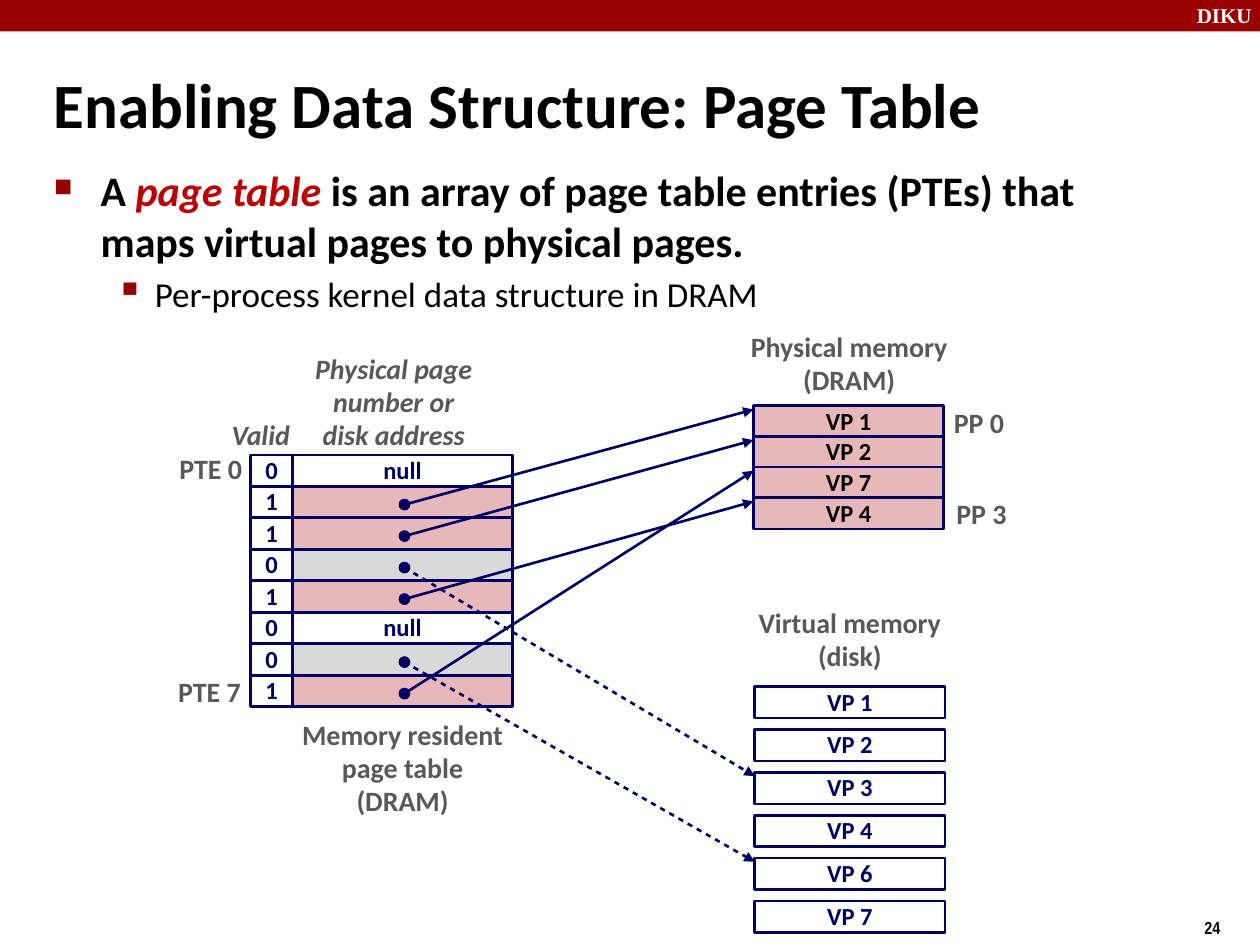
from lxml import etree
from pptx import Presentation
from pptx.dml.color import RGBColor
from pptx.enum.shapes import MSO_CONNECTOR, MSO_SHAPE
from pptx.enum.text import MSO_ANCHOR, PP_ALIGN
from pptx.oxml.ns import qn
from pptx.util import Inches, Pt

RECT, OVAL = MSO_SHAPE.RECTANGLE, MSO_SHAPE.OVAL
STRAIGHT = MSO_CONNECTOR.STRAIGHT
TOP, MIDDLE = MSO_ANCHOR.TOP, MSO_ANCHOR.MIDDLE
LEFT, CENTER, RIGHT = PP_ALIGN.LEFT, PP_ALIGN.CENTER, PP_ALIGN.RIGHT

COLORS = {"bar": "990000", "term": "C00000", "navy": "000066", "gray": "595959",
          "pink": "E6B9B8", "silver": "D9D9D9", "white": "FFFFFF", "black": "000000"}

# Content
TITLE = "Enabling Data Structure: Page Table"
BODY_FMT = {"size": 24, "bold": True, "color": "black"}
BULLETS = [
    {"indent": (0.38, -0.37), "char": "■", "scale": 60, "before": 0, "runs": [
        ("A ", BODY_FMT),
        ("page table ", {**BODY_FMT, "color": "term", "italic": True}),
        ("is an array of page table entries (PTEs) that maps virtual pages "
         "to physical pages.", BODY_FMT)]},
    {"indent": (0.81, -0.31), "char": "▪", "scale": 110, "before": 4, "runs": [
        ("Per-process kernel data structure in DRAM", {"size": 20, "color": "black"})]},
]
# valid bit, memory holding the page, page name
PAGE_TABLE = [("0", None, "null"), ("1", "dram", "VP 1"), ("1", "dram", "VP 2"),
              ("0", "disk", "VP 3"), ("1", "dram", "VP 4"), ("0", None, "null"),
              ("0", "disk", "VP 6"), ("1", "dram", "VP 7")]
ENTRY_FILL = {None: "white", "dram": "pink", "disk": "silver"}
MEMORIES = {
    "dram": {"pages": ["VP 1", "VP 2", "VP 7", "VP 4"], "left": 5.98, "top": 3.22,
             "pitch": 0.73 / 3, "fill": "pink", "color": "black"},
    "disk": {"pages": ["VP 1", "VP 2", "VP 3", "VP 4", "VP 6", "VP 7"], "left": 5.99,
             "top": 5.45, "pitch": 0.34, "fill": "white", "color": "navy"},
}
# lines, box, alignment, anchor, italic
CAPTIONS = [
    (["Memory resident", "page table", "(DRAM)"], (2.2, 5.66, 1.99, 0.89), CENTER, TOP, False),
    (["Physical memory", "(DRAM)"], (5.79, 2.58, 1.9, 0.63), CENTER, TOP, False),
    (["Virtual memory", "(disk)"], (5.85, 4.77, 1.79, 0.63), CENTER, TOP, False),
    (["Valid"], (1.74, 3.28, 0.75, 0.37), LEFT, TOP, True),
    (["Physical page", "number or", "disk address"], (2.35, 2.75, 1.55, 0.89), CENTER, MIDDLE, True),
    (["PTE 0"], (1.12, 3.54, 0.9, 0.37), RIGHT, MIDDLE, False),
    (["PTE 7"], (1.11, 5.31, 0.9, 0.37), RIGHT, MIDDLE, False),
    (["PP 0"], (7.42, 3.18, 0.7, 0.37), CENTER, MIDDLE, False),
    (["PP 3"], (7.44, 3.9, 0.7, 0.37), CENTER, MIDDLE, False),
]

# Grid
SLIDE_W, SLIDE_H = 10, 7.5
ROW_H, TABLE_TOP = 0.25, 3.61
VALID_X, VALID_W = 1.99, 0.33
ENTRY_X, ENTRY_W = VALID_X + VALID_W, 1.75
PAGE_W, DOT = 1.51, 0.08
DOT_X = 3.21
DOT_DROP = ROW_H / 2 + 0.02
ARROW_DROP = 0.03

prs = Presentation()
prs.slide_width, prs.slide_height = Inches(SLIDE_W), Inches(SLIDE_H)
s = prs.slides.add_slide(prs.slide_layouts[6])


def rgb(name):
    return RGBColor.from_string(COLORS[name])


def add_run(p, text, fmt):
    r = p.add_run()
    r.text = text
    values = {"name": "Calibri", "bold": False, "italic": False, **fmt}
    r.font.color.rgb = rgb(values.pop("color"))
    values["size"] = Pt(values["size"])
    for key, value in values.items():
        setattr(r.font, key, value)


def write(sp, lines, fmt, align=CENTER, anchor=MIDDLE, wrap=False, spacing=0.98):
    tf = sp.text_frame
    tf.word_wrap, tf.vertical_anchor = wrap, anchor
    for i, line in enumerate(lines):
        p = tf.add_paragraph() if i else tf.paragraphs[0]
        p.alignment, p.line_spacing = align, spacing
        add_run(p, line, fmt)


def add_text(box, lines, fmt, **layout):
    sp = s.shapes.add_textbox(*map(Inches, box))
    write(sp, lines, fmt, **layout)


def add_box(kind, box, fill=None, line="navy", width=1.5):
    sp = s.shapes.add_shape(kind, *map(Inches, box))
    sp.shadow.inherit = False
    if fill:
        sp.fill.solid()
        sp.fill.fore_color.rgb = rgb(fill)
    else:
        sp.fill.background()
    if line:
        sp.line.color.rgb = rgb(line)
        sp.line.width = Pt(width)
    else:
        sp.line.fill.background()
    return sp


def add_arrow(start, end, dotted):
    c = s.shapes.add_connector(STRAIGHT, *map(Inches, start + end))
    c.line.color.rgb, c.line.width = rgb("navy"), Pt(1.5)
    ln = c.line.fill._xPr
    if dotted:
        dash = etree.SubElement(ln, qn("a:custDash"))
        etree.SubElement(dash, qn("a:ds"), d="200000", sp="200000")
    etree.SubElement(ln, qn("a:tailEnd"), type="triangle")
    etree.SubElement(ln.getparent(), qn("a:effectLst"))


def add_bullet(p, item):
    margin, hang = item["indent"]
    pPr = p._p.get_or_add_pPr()
    pPr.set("marL", str(Inches(margin)))
    pPr.set("indent", str(Inches(hang)))
    color = etree.SubElement(pPr, qn("a:buClr"))
    etree.SubElement(color, qn("a:srgbClr"), val=COLORS["bar"])
    etree.SubElement(pPr, qn("a:buSzPct"), val=str(item["scale"] * 1000))
    etree.SubElement(pPr, qn("a:buChar"), char=item["char"])
    p.space_before = Pt(item["before"])
    for text, fmt in item["runs"]:
        add_run(p, text, fmt)


# Header bar and page number
add_box(RECT, (0, 0, SLIDE_W, 0.25), "bar", line=None)
add_text((9.4, -0.03, 0.67, 0.3), ["DIKU"],
         {"name": "Times New Roman", "size": 12, "bold": True, "color": "white"},
         align=LEFT, anchor=TOP, wrap=True, spacing=1.0)
add_text((9.46, 7.23, 0.75, 0.27), ["24"],
         {"name": "Arial Narrow", "size": 10, "bold": True, "color": "black"},
         align=LEFT, anchor=TOP, spacing=1.0)

# Title and bullets
add_text((0.33, 0.39, 9.06, 0.86), [TITLE], {"size": 36, "bold": True, "color": "black"},
         align=LEFT, wrap=True, spacing=1.0)
tf = s.shapes.add_textbox(*map(Inches, (0.32, 1.26, 9.08, 1.41))).text_frame
tf.word_wrap = True
for i, item in enumerate(BULLETS):
    add_bullet(tf.add_paragraph() if i else tf.paragraphs[0], item)

# Memory pages
page_corner = {}
for memory, m in MEMORIES.items():
    for i, page in enumerate(m["pages"]):
        top = m["top"] + i * m["pitch"]
        page_corner[memory, page] = (m["left"], top)
        sp = add_box(RECT, (m["left"], top, PAGE_W, ROW_H), m["fill"])
        write(sp, [page], {"size": 14, "bold": True, "color": m["color"]})

# Page table cells
cell_fmt = {"size": 14, "bold": True, "color": "navy"}
for i, (valid, memory, page) in enumerate(PAGE_TABLE):
    top = TABLE_TOP + i * ROW_H
    entry = add_box(RECT, (ENTRY_X, top, ENTRY_W, ROW_H), ENTRY_FILL[memory])
    if not memory:
        write(entry, [page], cell_fmt)
    write(add_box(RECT, (VALID_X, top, VALID_W, ROW_H)), [valid], cell_fmt)

# Pointers from entries to pages
for i, (valid, memory, page) in enumerate(PAGE_TABLE):
    if memory:
        y = TABLE_TOP + i * ROW_H + DOT_DROP
        add_box(OVAL, (DOT_X - DOT / 2, y - DOT / 2, DOT, DOT), "navy", width=1)
        x_end, top = page_corner[memory, page]
        add_arrow((DOT_X, y), (x_end, top + ARROW_DROP), dotted=memory == "disk")

# Captions
for lines, box, align, anchor, italic in CAPTIONS:
    add_text(box, lines, {"size": 16, "bold": True, "italic": italic, "color": "gray"},
             align=align, anchor=anchor, wrap=True)

prs.save("out.pptx")
